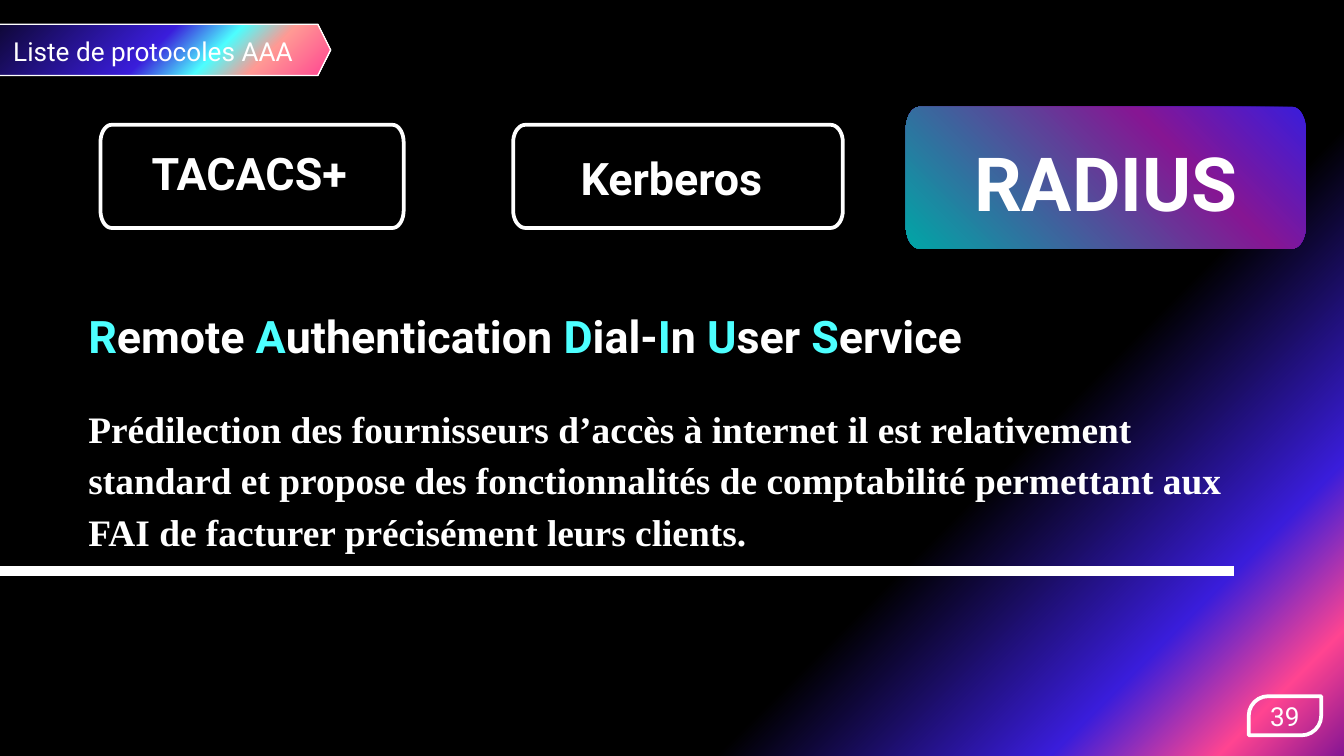
import math

from lxml import etree
from pptx import Presentation
from pptx.dml.color import RGBColor
from pptx.enum import shapes, text
from pptx.oxml import parse_xml
from pptx.oxml.ns import nsdecls, qn
from pptx.util import Cm, Pt

COLORS = {
    "white": "FFFFFF", "black": "000000", "cyan": "4DFFFF", "teal": "00A6A6",
    "purple": "861693", "blue": "3A1DDB", "pink": "FF4491", "salmon": "FF9A94",
}
WHITE = RGBColor.from_string(COLORS["white"])
BOTTOM_RIGHT = 'l="100000" t="100000"'
BOTTOM_LEFT = 't="100000" r="100000"'


def set_radial_gradient(fill, element, stops, focus):
    """Fill with (percent, colour) stops that spread from the focus corner."""
    fill.gradient()
    gradient = element.xpath(".//a:gradFill")[0]
    stop_xml = "".join(
        f'<a:gs pos="{percent * 1000}"><a:srgbClr val="{COLORS[color]}"/></a:gs>'
        for percent, color in stops)
    gradient.getparent().replace(gradient, parse_xml(
        f'<a:gradFill {nsdecls("a")} rotWithShape="1"><a:gsLst>{stop_xml}</a:gsLst>'
        f'<a:path path="circle"><a:fillToRect {focus}/></a:path></a:gradFill>'))


def write_text(shape, runs, size, font="Roboto", bold=False, spacing=1.0,
               align=text.PP_ALIGN.LEFT, anchor=text.MSO_ANCHOR.BOTTOM):
    """Write (wording, colour) runs as the one paragraph of a shape."""
    frame = shape.text_frame
    frame.word_wrap = True
    frame.auto_size = text.MSO_AUTO_SIZE.NONE
    frame.vertical_anchor = anchor
    frame.margin_left = frame.margin_right = Cm(0.25)
    frame.margin_top = frame.margin_bottom = Cm(0.25)
    paragraph = frame.paragraphs[0]
    paragraph.alignment = align
    paragraph.line_spacing = spacing
    paragraph.space_before = Pt(0)
    for wording, color in runs:
        run = paragraph.add_run()
        run.text = wording
        run.font.name = font
        run.font.size = Pt(size)
        run.font.bold = bold
        run.font.color.rgb = RGBColor.from_string(COLORS[color])


presentation = Presentation()
presentation.slide_width = Cm(25.4)
presentation.slide_height = Cm(14.29)
slide = presentation.slides.add_slide(presentation.slide_layouts[1])
title, body = slide.placeholders

set_radial_gradient(
    slide.background.fill, slide.element,
    [(0, "purple"), (6, "pink"), (14, "blue"), (30, "black"), (100, "black")],
    BOTTOM_RIGHT)

# Banner with the slide title
banner = slide.shapes.add_shape(
    shapes.MSO_SHAPE.HEXAGON, Cm(-1.17), Cm(0.46), Cm(7.42), Cm(0.97))
banner.shadow.inherit = False
banner.adjustments[0] = 0.25
set_radial_gradient(
    banner.fill, banner.element,
    [(0, "pink"), (19, "salmon"), (31, "cyan"), (46, "blue"), (100, "black")],
    BOTTOM_RIGHT)
banner.line.color.rgb = WHITE
banner.line.width = Pt(0.75)

title.left, title.top, title.width, title.height = Cm(0), Cm(0.38), Cm(9.09), Cm(1.14)
write_text(title, [("Liste de protocoles AAA", "white")], 14)
banner.element.addnext(title.element)

# Protocol boxes: name, size, box, corner radii, label box, highlighted
protocols = [
    ("TACACS+", 24, (1.9, 2.36, 5.73, 1.95), (0.21, 0.33), (2.31, 2.51, 4.8, 1.47), False),
    ("Kerberos", 24, (9.7, 2.36, 6.23, 1.95), (0.23, 0.33), (10.29, 2.59, 4.8, 1.55), False),
    ("RADIUS", 40, (17.12, 2.02, 7.56, 2.68), (0.26, 0.43), (18.03, 2.34, 5.74, 1.85), True),
]
for name, size, (left, top, width, height), (radius_x, radius_y), label_box, active in protocols:
    outline = []
    for degrees in range(0, 360, 90):
        side_x = 1 if degrees in (0, 270) else -1
        side_y = 1 if degrees in (0, 90) else -1
        center_x = left + width / 2 + side_x * (width / 2 - radius_x)
        center_y = top + height / 2 + side_y * (height / 2 - radius_y)
        for step in range(0, 91, 10):
            angle = math.radians(degrees + step)
            outline.append((Cm(center_x + radius_x * math.cos(angle)),
                            Cm(center_y + radius_y * math.sin(angle))))
    builder = slide.shapes.build_freeform(*outline[0])
    builder.add_line_segments(outline[1:], close=True)
    box = builder.convert_to_shape()
    box.shadow.inherit = False
    if active:
        set_radial_gradient(box.fill, box.element,
                            [(0, "teal"), (68, "purple"), (100, "blue")], BOTTOM_LEFT)
        box.line.fill.background()
    else:
        box.fill.background()
        box.line.color.rgb = WHITE
        box.line.width = Pt(2)
    label = slide.shapes.add_textbox(*map(Cm, label_box))
    write_text(label, [(name, "white")], size, bold=True,
               align=text.PP_ALIGN.CENTER, anchor=text.MSO_ANCHOR.TOP)

# Full name with its initials picked out
full_name = slide.shapes.add_textbox(Cm(1.42), Cm(5.59), Cm(21.56), Cm(1.52))
parts = ["R", "emote ", "A", "uthentication ", "D", "ial-",
         "I", "n ", "U", "ser ", "S", "ervice"]
write_text(full_name,
           [(part, "white" if index % 2 else "cyan") for index, part in enumerate(parts)],
           24, bold=True, spacing=1.15)

# Description
body.left, body.top, body.width, body.height = Cm(1.42), Cm(7.44), Cm(22.2), Cm(3.28)
properties = body.text_frame.paragraphs[0]._p.get_or_add_pPr()
properties.set("marL", "0")
properties.set("indent", "0")
etree.SubElement(properties, qn("a:buNone"))
write_text(body, [(
    "Prédilection des fournisseurs d’accès à internet il est relativement standard "
    "et propose des fonctionnalités de comptabilité permettant aux FAI de facturer "
    "précisément leurs clients.", "white")],
    20, font="Times New Roman", bold=True, spacing=1.15)

rule = slide.shapes.add_connector(
    shapes.MSO_CONNECTOR.STRAIGHT, Cm(-1.17), Cm(10.8), Cm(23.32), Cm(10.8))
rule.line.color.rgb = WHITE
rule.line.width = Pt(5.25)
etree.SubElement(rule.element.spPr, qn("a:effectLst"))

# Page number
page_number = slide.shapes.add_shape(
    shapes.MSO_SHAPE.ROUND_2_DIAG_RECTANGLE, Cm(23.6), Cm(13.16), Cm(1.37), Cm(0.74))
page_number.shadow.inherit = False
page_number.adjustments[0] = 0.5
page_number.adjustments[1] = 0
page_number.fill.background()
page_number.line.color.rgb = WHITE
page_number.line.width = Pt(2)
write_text(page_number, [("39", "white")], 14,
           align=text.PP_ALIGN.CENTER, anchor=text.MSO_ANCHOR.MIDDLE)

presentation.save("out.pptx")
